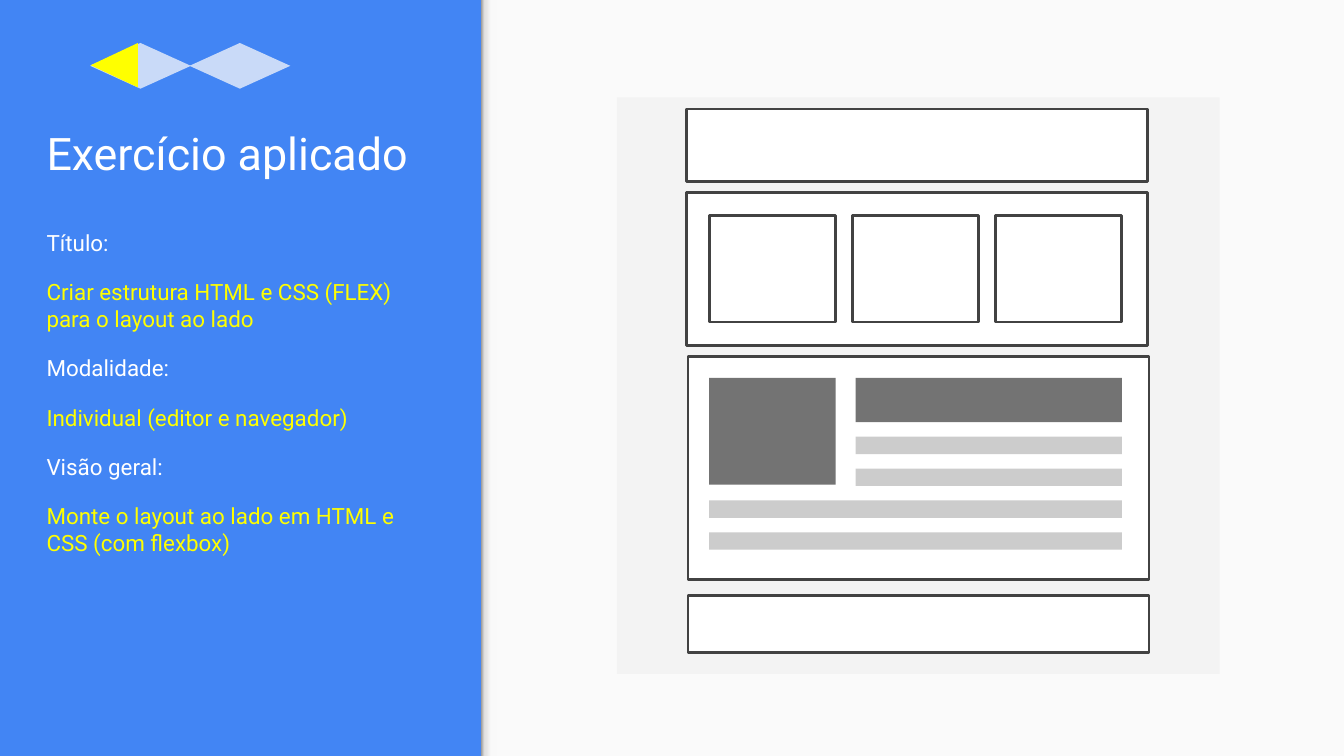
from lxml import etree
from pptx import Presentation
from pptx.dml.color import RGBColor
from pptx.enum import shapes, text
from pptx.oxml import ns
from pptx.util import Inches, Pt

BLUE = RGBColor(0x42, 0x85, 0xF4)
PALE = RGBColor(0xC9, 0xDA, 0xF8)
YELLOW = RGBColor(0xFF, 0xFF, 0x00)
WHITE = RGBColor(0xFF, 0xFF, 0xFF)
PAPER = RGBColor(0xFA, 0xFA, 0xFA)
MIST = RGBColor(0xF3, 0xF3, 0xF3)
SILVER = RGBColor(0xCC, 0xCC, 0xCC)
GREY = RGBColor(0x73, 0x73, 0x73)
INK = RGBColor(0x42, 0x42, 0x42)
SHADE = ((0, RGBColor(0x99, 0x99, 0x99)), (20, RGBColor(0xDE, 0xDE, 0xDE)),
         (64, RGBColor(0xF9, 0xF9, 0xF9)), (100, RGBColor(0xF9, 0xF9, 0xF9)))
KIND = shapes.MSO_SHAPE


def write(para, words, size=12, color=WHITE, font="Roboto", before=0, after=0):
    run = para.add_run()
    run.text = words
    run.font.size, run.font.name = Pt(size), font
    run.font.color.rgb = color
    para.space_before, para.space_after = Pt(before), Pt(after)


class Deck:
    """Draw styled elements on a slide grid of 100 columns by 56.25 rows."""

    def __init__(self, cell=0.1, cols=100, rows=56.25):
        self.cell = cell
        self.file = Presentation()
        self.file.slide_width = Inches(cols * cell)
        self.file.slide_height = Inches(rows * cell)
        self.slide = self.file.slides.add_slide(self.file.slide_layouts[6])
        self.slide.background.fill.solid()
        self.slide.background.fill.fore_color.rgb = BLUE

    def span(self, *box):
        return [Inches(n * self.cell) for n in box]

    def shape(self, *box, fill=None, line=None, kind=KIND.RECTANGLE, turn=0):
        item = self.slide.shapes.add_shape(kind, *self.span(*box))
        item.shadow.inherit = False
        item.rotation = turn
        if fill is None:
            item.fill.background()
        else:
            item.fill.solid()
            item.fill.fore_color.rgb = fill
        if line is None:
            item.line.fill.background()
        else:
            item.line.color.rgb = line
            item.line.width = Pt(1.5)
        return item

    def fade(self, *box, stops):
        item = self.shape(*box, fill=PAPER)
        item.fill.gradient()
        item.fill.gradient_angle = 0
        ramp = item.element.spPr.find(".//" + ns.qn("a:gsLst"))
        ramp.clear()
        for pos, color in stops:
            stop = etree.SubElement(ramp, ns.qn("a:gs"), pos=str(pos * 1000))
            etree.SubElement(stop, ns.qn("a:srgbClr"), val=str(color))

    def label(self, *box, lines, anchor=text.MSO_ANCHOR.TOP):
        frame = self.slide.shapes.add_textbox(*self.span(*box)).text_frame
        frame.word_wrap = True
        frame.vertical_anchor = anchor
        frame.margin_left = frame.margin_right = Inches(0.1)
        frame.margin_top = frame.margin_bottom = Inches(0.1)
        for i, (words, form) in enumerate(lines):
            para = frame.add_paragraph() if i else frame.paragraphs[0]
            write(para, words, **form)


def main():
    deck = Deck()
    deck.shape(35.8, 0, 64.2, 56.25, fill=PAPER)
    deck.fade(35.8, 0, 1.2, 56.25, stops=SHADE)

    deck.label(2.48, 3.95, 30.7, 10.4, anchor=text.MSO_ANCHOR.BOTTOM,
               lines=[("Exercício aplicado", {"size": 24})])
    topics = (("Título:", "Criar estrutura HTML e CSS (FLEX) para o layout ao lado"),
              ("Modalidade:", "Individual (editor e navegador)"),
              ("Visão geral:", "Monte o layout ao lado em HTML e CSS (com flexbox)"))
    lines = []
    for i, (head, body) in enumerate(topics):
        lines.append((head, {"before": 12 if i else 0}))
        lines.append((body, {"color": YELLOW, "before": 12}))
    lines[-1][1]["after"] = 12
    deck.label(2.48, 16.05, 30.7, 34.6, lines=lines)

    for i in range(2):
        deck.shape(6.7 + 7.4 * i, 3.2, 7.5, 3.4, fill=PALE, kind=KIND.DIAMOND)
    deck.shape(6.85, 3.1, 3.3, 3.5, fill=YELLOW,
               kind=KIND.ISOSCELES_TRIANGLE, turn=270)

    deck.shape(45.9, 7.25, 44.85, 42.9, fill=MIST)
    for left, top, high in ((51.1, 8.12, 5.4), (51.1, 14.3, 11.4),
                            (51.2, 26.53, 16.6), (51.2, 44.33, 4.25)):
        deck.shape(left, top, 34.3, high, fill=WHITE, line=INK)
    for i in range(3):
        deck.shape(52.77 + 10.65 * i, 16.02, 9.4, 7.94, line=INK)

    deck.shape(52.77, 28.12, 9.4, 7.94, fill=GREY)
    deck.shape(63.67, 28.12, 19.8, 3.3, fill=GREY)
    for i, left in enumerate((63.67, 63.67, 52.77, 52.77)):
        deck.shape(left, 32.5 + 2.37 * i, 83.47 - left, 1.3, fill=SILVER)

    deck.file.save("out.pptx")


if __name__ == "__main__":
    main()
